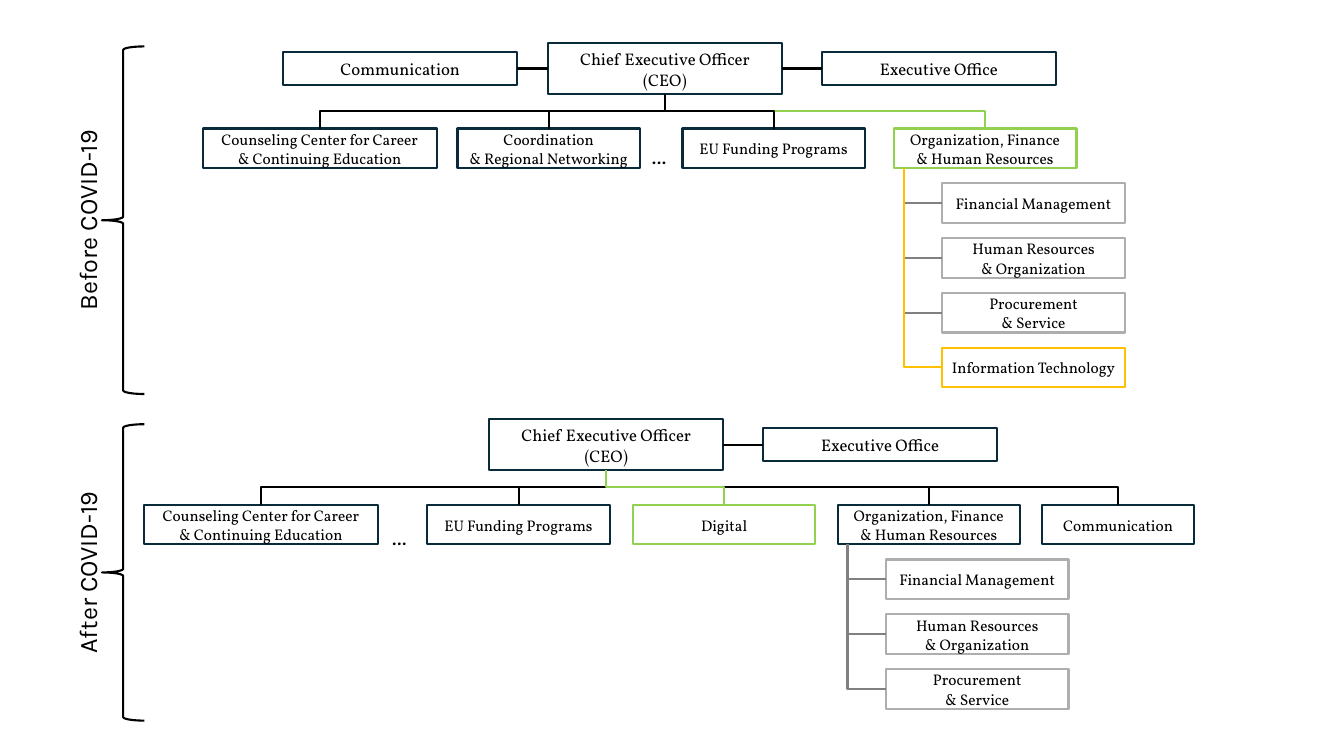
import pptx
import pptx.util
import pptx.dml.color
import pptx.enum.shapes
import pptx.enum.text
import pptx.oxml.ns
from dataclasses import dataclass
from lxml import etree
from pptx.util import Cm


@dataclass(frozen=True)
class Theme:
    navy: str = "092A39"
    black: str = "000000"
    green: str = "92D050"
    gold: str = "FFC000"
    silver: str = "AEAEAE"
    gray: str = "808080"
    box_font: str = "Vollkorn"
    label_font: str = "Karla"
    head_size: int = 12
    unit_size: int = 11
    label_size: int = 18
    line_width: float = 1.5
    leading: float = 1.25


THEME = Theme()
SHAPES = pptx.enum.shapes.MSO_SHAPE
CONNECTORS = pptx.enum.shapes.MSO_CONNECTOR
CENTER = pptx.enum.text.PP_ALIGN.CENTER

# Measures of the charts, in centimetres
WIDE, NARROW, SLIM = 5.9, 4.6, 3.84
HEAD_HEIGHT, SIDE_HEIGHT, UNIT_HEIGHT = 1.27, 0.84, 1.0
UNIT_TOP, TEAM_TOP, TEAM_PITCH = 2.15, 3.53, 1.38
TEAM_INDENT, TRUNK_INDENT = 1.22, 0.25

COUNSELING = "Counseling Center for Career\n& Continuing Education"
FINANCE = "Organization, Finance\n& Human Resources"
TEAMS = [
    ("Financial Management", THEME.silver, THEME.gray),
    ("Human Resources\n& Organization", THEME.silver, THEME.gray),
    ("Procurement\n& Service", THEME.silver, THEME.gray),
]

# Sides: text, left. Units: text, left, width, box colour, line colour.
BEFORE = dict(
    ceo=8.7,
    sides=[("Communication", 2.03), ("Executive Office", 15.6)],
    units=[
        ("Organization, Finance\n& Human Resources", 17.42, NARROW, THEME.green, THEME.green),
        ("EU Funding Programs", 12.09, NARROW, THEME.navy, THEME.black),
        ("Coordination\n& Regional Networking", 6.42, NARROW, THEME.navy, THEME.black),
        (COUNSELING, 0, WIDE, THEME.navy, THEME.black),
    ],
    teams=TEAMS + [("Information Technology", THEME.gold, THEME.gold)],
    dots=(11.07, 2.55),
)
AFTER = dict(
    ceo=8.7,
    sides=[("Executive Office", 15.6)],
    units=[
        ("Communication", 22.63, SLIM, THEME.navy, THEME.black),
        (FINANCE, 17.48, NARROW, THEME.navy, THEME.black),
        ("EU Funding Programs", 7.14, NARROW, THEME.navy, THEME.black),
        (COUNSELING, 0, WIDE, THEME.navy, THEME.black),
        ("Digital", 12.32, NARROW, THEME.green, THEME.green),
    ],
    teams=TEAMS,
    dots=(6.0, 2.67),
)


def color(value):
    return pptx.dml.color.RGBColor.from_string(value)


def style_line(shape, value):
    shape.line.color.rgb = color(value)
    shape.line.width = pptx.util.Pt(THEME.line_width)


def write(frame, text, font, size, leading=None, bold=False, align=None):
    frame.text = text
    for para in frame.paragraphs:
        para.alignment = align
        if leading:
            para.line_spacing = pptx.util.Pt(size * leading)
        for span in para.runs:
            span.font.name = font
            span.font.size = pptx.util.Pt(size)
            span.font.bold = bold
            span.font.color.rgb = color(THEME.black)


def add_box(page, text, left, top, width, height, outline, size):
    box = page.shapes.add_shape(SHAPES.RECTANGLE, Cm(left), Cm(top), Cm(width), Cm(height))
    box.shadow.inherit = False
    box.fill.background()
    style_line(box, outline)
    frame = box.text_frame
    frame.word_wrap = True
    frame.margin_left = frame.margin_right = frame.margin_top = frame.margin_bottom = 0
    frame.vertical_anchor = pptx.enum.text.MSO_ANCHOR.MIDDLE
    write(frame, text, THEME.box_font, size, THEME.leading, align=CENTER)


def add_line(page, kind, x1, y1, x2, y2, value):
    line = page.shapes.add_connector(kind, Cm(x1), Cm(y1), Cm(x2), Cm(y2))
    style_line(line, value)
    etree.SubElement(line._element.spPr, pptx.oxml.ns.qn("a:effectLst"))
    return line


def add_drop(page, x1, y1, x2, y2, value, corner=False):
    """Elbow that leaves downwards: the frame is turned by a quarter."""
    middle_x, middle_y = (x1 + x2) / 2, (y1 + y2) / 2
    half_drop, half_reach = (y2 - y1) / 2, abs(x2 - x1) / 2
    turn = 1 if x2 > x1 else -1
    line = add_line(page, CONNECTORS.ELBOW,
                    middle_x + turn * half_drop, middle_y - half_reach,
                    middle_x - turn * half_drop, middle_y + half_reach, value)
    properties = line._element.spPr
    degrees = 270 if turn == 1 else 90
    properties.find(pptx.oxml.ns.qn("a:xfrm")).set("rot", str(degrees * 60000))
    if corner:
        properties.find(pptx.oxml.ns.qn("a:prstGeom")).set("prst", "bentConnector2")


def add_chart_of_units(page, left, top, ceo, sides, units, teams, dots):
    # Chief executive and staff offices
    ceo_left = left + ceo
    add_box(page, "Chief Executive Officer\n(CEO)", ceo_left, top, WIDE, HEAD_HEIGHT,
            THEME.navy, THEME.head_size)
    side_y = top + HEAD_HEIGHT / 2
    for text, offset in sides:
        side_left = left + offset
        add_box(page, text, side_left, side_y - SIDE_HEIGHT / 2, WIDE, SIDE_HEIGHT,
                THEME.navy, THEME.head_size)
        first, second = sorted((side_left, ceo_left))
        add_line(page, CONNECTORS.STRAIGHT, first + WIDE, side_y, second, side_y, THEME.black)

    # Units below the chief executive
    for text, offset, width, outline, link in units:
        unit_left = left + offset
        add_box(page, text, unit_left, top + UNIT_TOP, width, UNIT_HEIGHT,
                outline, THEME.unit_size)
        add_drop(page, ceo_left + WIDE / 2, top + HEAD_HEIGHT,
                 unit_left + width / 2, top + UNIT_TOP, link)
        if text == FINANCE:
            add_teams(page, unit_left, top, teams)

    # Ellipsis for the units left out
    mark = page.shapes.add_textbox(Cm(left + dots[0]), Cm(top + dots[1]), Cm(0.97), Cm(0.7))
    mark.text_frame.word_wrap = True
    write(mark.text_frame, "…", THEME.box_font, THEME.unit_size, bold=True)


def add_teams(page, unit_left, top, teams):
    trunk = unit_left + TRUNK_INDENT
    for index, (text, outline, link) in enumerate(teams):
        team_left = unit_left + TEAM_INDENT
        team_top = top + TEAM_TOP + index * TEAM_PITCH
        add_box(page, text, team_left, team_top, NARROW, UNIT_HEIGHT, outline, THEME.unit_size)
        add_drop(page, trunk, top + UNIT_TOP + UNIT_HEIGHT,
                 team_left, team_top + UNIT_HEIGHT / 2, link, corner=True)


def add_period(page, text, left, top, height):
    brace = page.shapes.add_shape(SHAPES.LEFT_BRACE, Cm(left), Cm(top), Cm(1.07), Cm(height))
    brace.shadow.inherit = False
    brace.fill.background()
    style_line(brace, THEME.black)
    width, depth = 5.2, 1.02
    label = page.shapes.add_textbox(Cm(left - 0.37 - width / 2), Cm(top + (height - depth) / 2),
                                    Cm(width), Cm(depth))
    label.rotation = 270
    label.text_frame.word_wrap = False
    write(label.text_frame, text, THEME.label_font, THEME.label_size, align=CENTER)


def main():
    deck = pptx.Presentation()
    deck.slide_width, deck.slide_height = Cm(33.87), Cm(19.05)
    page = deck.slides.add_slide(deck.slide_layouts[6])
    add_chart_of_units(page, 5.11, 1.09, **BEFORE)
    add_chart_of_units(page, 3.63, 10.57, **AFTER)
    add_period(page, "Before COVID-19", 2.57, 1.17, 8.76)
    add_period(page, "After COVID-19", 2.57, 10.69, 7.47)
    deck.save("out.pptx")


if __name__ == "__main__":
    main()
